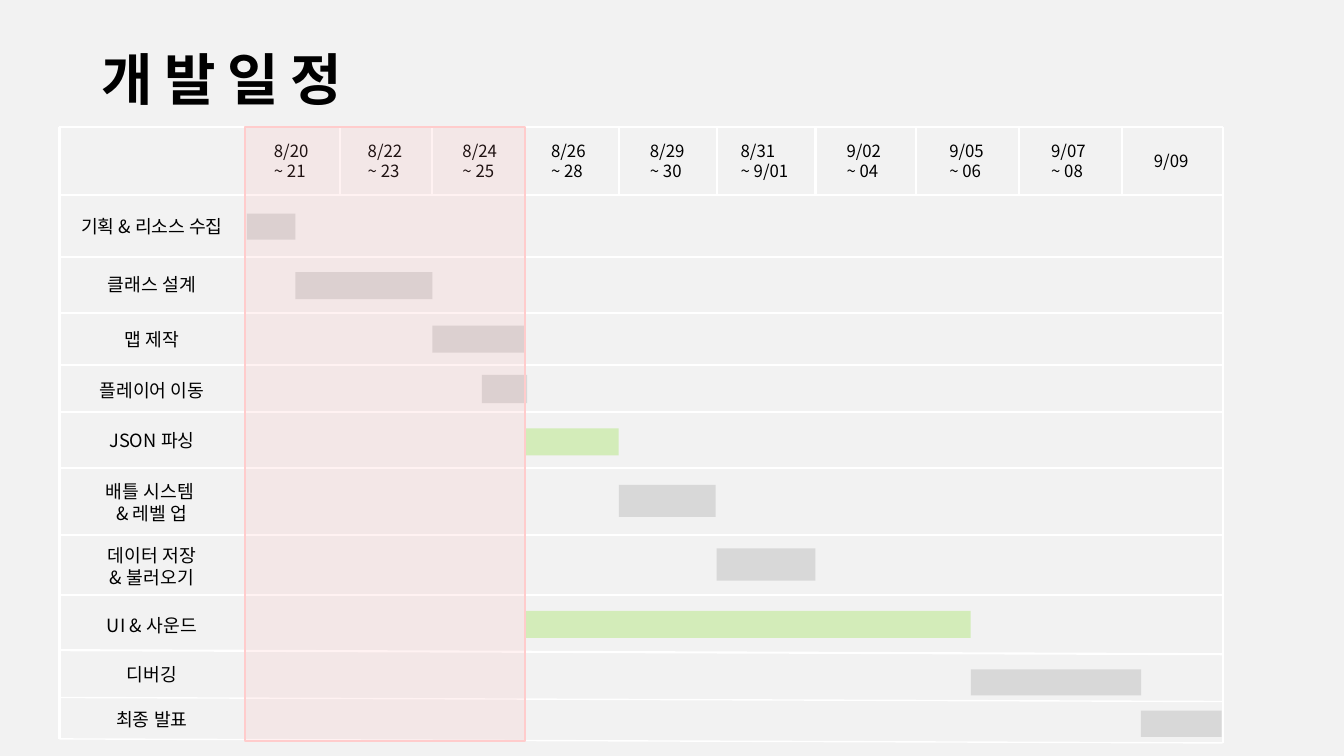
from lxml.etree import SubElement
from pptx import Presentation
from pptx.dml.color import RGBColor
from pptx.enum.shapes import MSO_CONNECTOR, MSO_SHAPE
from pptx.enum.text import MSO_ANCHOR, MSO_AUTO_SIZE, PP_ALIGN
from pptx.oxml.ns import qn
from pptx.util import Pt

FONT = "Noto Sans CJK KR"
GRAY, GREEN = "D8D8D8", "D3ECB9"


def write(box, text, size, bold=False, align=PP_ALIGN.LEFT, spacing=0):
    """Fill a text shape, one paragraph per line; spacing is in points."""
    frame = box.text_frame
    frame.word_wrap = True
    frame.auto_size = MSO_AUTO_SIZE.SHAPE_TO_FIT_TEXT
    frame.vertical_anchor = MSO_ANCHOR.TOP
    frame.text = text
    for paragraph in frame.paragraphs:
        paragraph.alignment = align
        run = paragraph.runs[0]
        run.font.size = Pt(size)
        run.font.bold = bold
        run.font.name = FONT
        run.font.color.rgb = RGBColor.from_string("000000")
        properties = run.font._element
        properties.set("spc", str(round(spacing * 100)))
        SubElement(properties, qn("a:ea")).set("typeface", FONT)


def add_bar(left, top, width, height, color):
    bar = slide.shapes.add_shape(
        MSO_SHAPE.RECTANGLE, Pt(left), Pt(top), Pt(width), Pt(height))
    bar.shadow.inherit = False
    bar.fill.solid()
    bar.fill.fore_color.rgb = RGBColor.from_string(color)
    bar.line.fill.background()
    return bar


deck = Presentation()
deck.slide_width, deck.slide_height = Pt(960), Pt(540)
slide = deck.slides.add_slide(deck.slide_layouts[5])
slide.background.fill.solid()
slide.background.fill.fore_color.rgb = RGBColor.from_string("F2F2F2")

title = slide.shapes.title
title.left, title.top, title.width, title.height = Pt(65.5), Pt(28), Pt(499), Pt(55.5)
write(title, "개발일정", 40, bold=True, spacing=8.1)

# Grid: left, right, top and bottom edges, and the foot of the date row
LEFT, RIGHT, TOP, BOTTOM, HEADER = 42.5, 873.4, 90.7, 527.8, 139
SLANT = 2.9

# Date, left edge of its column, left edge of its text
dates = [
    ("8/20 ~ 21", 175, 188.6),
    ("8/22 ~ 23", 242.6, 255.6),
    ("8/24 ~ 25", 308.9, 323.3),
    ("8/26 ~ 28", 375.1, 386.6),
    ("8/29 ~ 30", 442.1, 457.2),
    ("8/31\n~ 9/01", 511.9, 522),
    ("9/02 ~ 04", 582.5, 597.6),
    ("9/05 ~ 06", 654.5, 671),
    ("9/07 ~ 08", 727.9, 743.8),
    ("9/09", 801.4, 817.2),
]
# Task, top of its text, foot of its row, bar (left, top, width, height), colour
tasks = [
    ("기획 & 리소스 수집", 150.5, 183.6, (176.4, 152.6, 34.6, 18.7), GRAY),
    ("클래스 설계", 191.5, 223.9, (211, 194.4, 97.9, 19.4), GRAY),
    ("맵 제작", 231.1, 260.6, (308.9, 232.6, 66.2, 19.4), GRAY),
    ("플레이어 이동", 267.1, 294.5, (344.2, 267.8, 32.4, 20.2), GRAY),
    ("JSON 파싱", 303.1, 334.1, (375.8, 306, 66.2, 19.4), GREEN),
    ("배틀 시스템 \n& 레벨 업", 339.8, 382.3, (442.1, 346.3, 69.1, 23), GRAY),
    ("데이터 저장\n& 불러오기", 385.2, 424.8, (511.9, 391.7, 70.6, 23), GRAY),
    ("UI & 사운드", 434.9, 464.4, (375.8, 436.3, 317.5, 19.4), GREEN),
    ("디버깅", 470.2, 498.2, (693.4, 478.1, 121.7, 18.7), GRAY),
    ("최종 발표", 502.6, BOTTOM, (815, 507.6, 57.6, 18.7), GRAY),
]

for task, text_top, row_foot, bar, color in tasks:
    add_bar(*bar, color)
    label = slide.shapes.add_textbox(
        Pt(LEFT), Pt(text_top), Pt(132), Pt(39 if "\n" in task else 23))
    write(label, task, 13, align=PP_ALIGN.CENTER,
          spacing=0 if task == tasks[0][0] else 0.1)

grid = [(LEFT, y, RIGHT, y, 1.5) for y in (TOP, HEADER)]
for index, (_, _, row_foot, _, _) in enumerate(tasks):
    drop = SLANT if index >= 7 else 0
    grid.append((LEFT, row_foot, RIGHT, row_foot + drop, 1 if index >= 8 else 1.5))
grid += [(x, TOP, x, HEADER, 1.5) for _, x, _ in dates[1:]]
grid += [(LEFT, TOP, LEFT, BOTTOM, 1.5),
         (dates[0][1], TOP, dates[0][1], 529.2, 1.5),
         (RIGHT, TOP, RIGHT, BOTTOM + SLANT, 1.5)]
for x1, y1, x2, y2, weight in grid:
    rule = slide.shapes.add_connector(
        MSO_CONNECTOR.STRAIGHT, Pt(x1), Pt(y1), Pt(x2), Pt(y2))
    rule.line.color.rgb = RGBColor.from_string("FFFFFF")
    rule.line.width = Pt(weight)
    SubElement(rule._element.spPr, qn("a:effectLst"))

for date, _, text_left in dates:
    one_line = date == "9/09"
    heading = slide.shapes.add_textbox(
        Pt(text_left), Pt(104.4 if one_line else 97),
        Pt(52 if "\n" in date else 41), Pt(21.8 if one_line else 36))
    write(heading, date, 12)

finished = add_bar(175, TOP, 200.2, 438.5, "FF9999")
finished.line.color.rgb = RGBColor.from_string("FFCCCC")
finished.line.width = Pt(1.5)
tint = finished._element.spPr.find(qn("a:solidFill")).find(qn("a:srgbClr"))
SubElement(tint, qn("a:alpha")).set("val", "12000")

deck.save("out.pptx")
